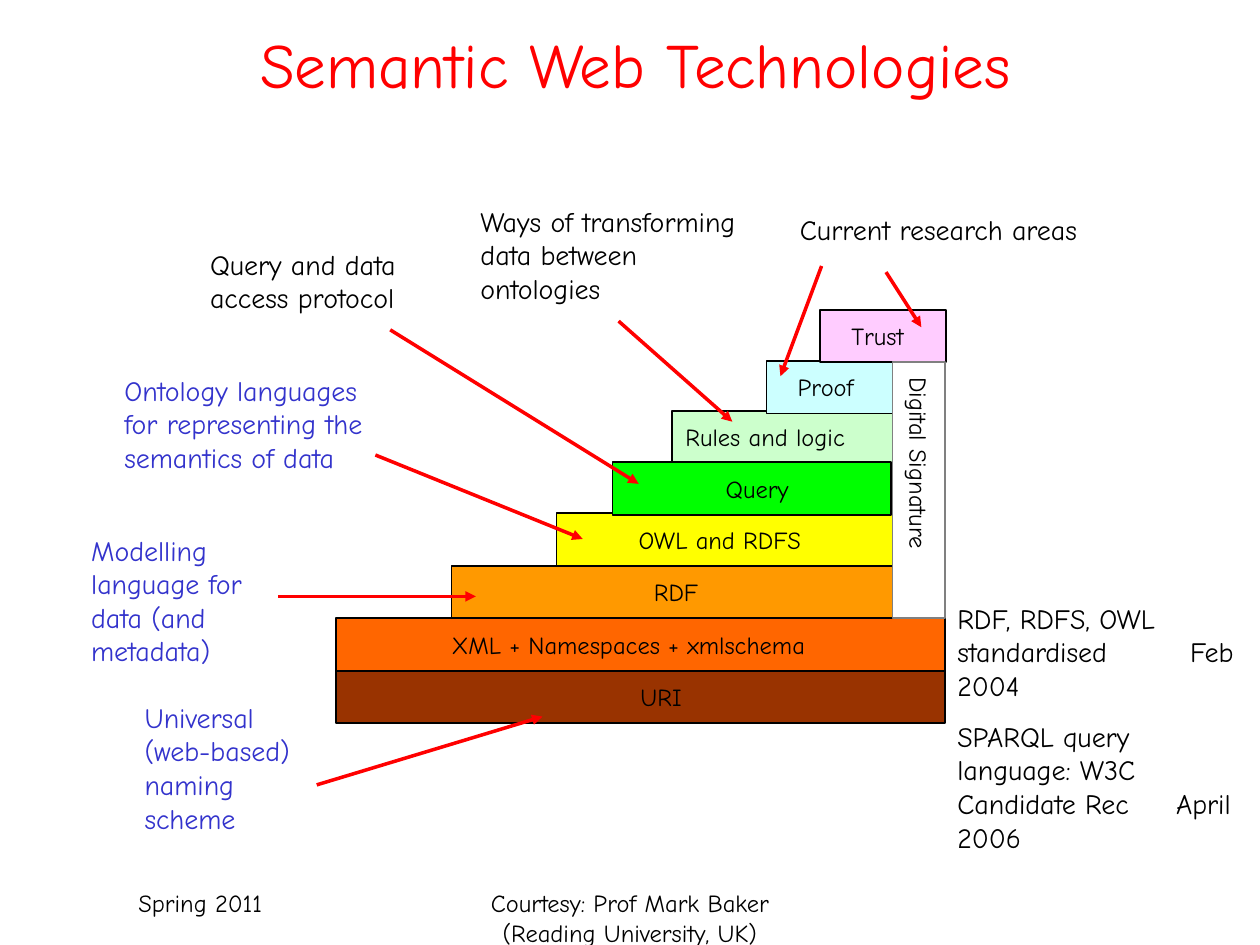
from lxml.etree import SubElement
from pptx import Presentation
from pptx.dml.color import RGBColor
from pptx.enum.shapes import MSO_CONNECTOR, MSO_SHAPE
from pptx.enum.text import MSO_ANCHOR, MSO_AUTO_SIZE, PP_ALIGN
from pptx.oxml.ns import qn
from pptx.util import Pt

FONT = "Comic Neue"
BLACK = RGBColor(0x00, 0x00, 0x00)
GREY = RGBColor(0x80, 0x80, 0x80)
RED = RGBColor(0xFF, 0x00, 0x00)
BLUE = RGBColor(0x33, 0x33, 0xCC)
BROWN = RGBColor(0x99, 0x33, 0x00)
DARK_ORANGE = RGBColor(0xFF, 0x66, 0x00)
ORANGE = RGBColor(0xFF, 0x99, 0x00)
YELLOW = RGBColor(0xFF, 0xFF, 0x00)
GREEN = RGBColor(0x00, 0xFF, 0x00)
PALE_GREEN = RGBColor(0xCC, 0xFF, 0xCC)
PALE_BLUE = RGBColor(0xCC, 0xFF, 0xFF)
PINK = RGBColor(0xFF, 0xCC, 0xFF)

# Content: all lengths in points
TITLE = "Semantic Web Technologies"

# Layers: label, colour, left, top, width, label left, label width
LAYERS = [
    ("URI", BROWN, 192, 383.3, 348, 366, 24.5),
    ("XML + Namespaces + xmlschema", DARK_ORANGE, 192, 353.3, 348, 258, 242),
    ("RDF", ORANGE, 258, 323.3, 252, 373.7, 33),
    ("OWL and RDFS", YELLOW, 318, 293.3, 192, 365, 106),
    ("Rules and logic", PALE_GREEN, 384, 234.8, 126, 391.7, 107),
    ("Proof", PALE_BLUE, 438, 206.3, 72, 455.8, 36.7),
    ("Trust", PINK, 468.5, 177, 72, 486.5, 36),
    ("Query", GREEN, 350, 264.2, 159, 414.7, 42.5),
]
LAYER_HEIGHT = 30
LABEL_OFFSET = 6.5
LABEL_HEIGHT = 16.6

# Notes: text, colour, box, arrows as (from x, from y, to x, to y)
NOTES = [
    ("Universal (web-based) naming scheme", BLUE, (75.5, 393, 114.5, 91.5),
     [(181, 448.5, 310, 409.5)]),
    ("Modelling language for data (and metadata)", BLUE, (45, 297.5, 114.5, 110),
     [(159, 340.8, 272, 340.8)]),
    ("Ontology languages for representing the semantics of data", BLUE,
     (64, 206, 164, 91.5), [(214.5, 260, 333, 308)]),
    ("Current research areas", BLACK, (450, 114.5, 209.5, 34),
     [(469.5, 152, 446, 215), (506.3, 155.5, 526.5, 187)]),
    ("Query and data access protocol", BLACK, (113, 134, 164, 52.5),
     [(223, 188.5, 365, 276.5)]),
    ("Ways of transforming data between ontologies", BLACK, (267.5, 109.5, 164, 91.5),
     [(353.5, 183.5, 418.5, 241)]),
]

# Standards: text with a tab before the date, tab position
STANDARDS = [
    ("RDF, RDFS, OWL standardised\tFeb 2004", 133),
    ("SPARQL query language: W3C Candidate Rec\tApril 2006", 125),
]
STANDARDS_BOX = (540, 336.3, 180, 158.4)

FOOTERS = [
    ("Spring 2011", (72, 504, 150, 36), PP_ALIGN.LEFT),
    ("Courtesy: Prof Mark Baker (Reading University, UK)",
     (246, 504, 228, 36), PP_ALIGN.CENTER),
]


def points(values):
    return [Pt(value) for value in values]


def format_paragraph(paragraph, size, color):
    paragraph.font.name = FONT
    paragraph.font.size = Pt(size)
    paragraph.font.color.rgb = color


def add_text(slide, text, box, size, color=BLACK, margins=(7.2, 7.2), wrap=True, grow=True):
    frame = slide.shapes.add_textbox(*points(box)).text_frame
    frame.margin_left = frame.margin_right = Pt(margins[0])
    frame.margin_top = frame.margin_bottom = Pt(margins[1])
    frame.word_wrap = wrap
    frame.auto_size = MSO_AUTO_SIZE.SHAPE_TO_FIT_TEXT if grow else MSO_AUTO_SIZE.NONE
    frame.text = text
    for paragraph in frame.paragraphs:
        format_paragraph(paragraph, size, color)
    return frame


def add_label(slide, text, box):
    return add_text(slide, text, box, 14, margins=(0, 0), wrap=False)


def add_block(slide, box, fill, line):
    shape = slide.shapes.add_shape(MSO_SHAPE.RECTANGLE, *points(box))
    shape.shadow.inherit = False
    if fill is None:
        shape.fill.background()
    else:
        shape.fill.solid()
        shape.fill.fore_color.rgb = fill
    shape.line.color.rgb = line
    shape.line.width = Pt(1)


def add_arrow(slide, ends):
    arrow = slide.shapes.add_connector(MSO_CONNECTOR.STRAIGHT, *points(ends))
    arrow.line.color.rgb = RED
    arrow.line.width = Pt(2)
    SubElement(arrow.line._get_or_add_ln(), qn("a:tailEnd"), type="triangle")
    SubElement(arrow._element.spPr, qn("a:effectLst"))


def add_tab_stop(paragraph, position):
    tabs = SubElement(paragraph._p.get_or_add_pPr(), qn("a:tabLst"))
    SubElement(tabs, qn("a:tab"), pos=str(Pt(position)), algn="l")


def main():
    presentation = Presentation()
    presentation.slide_width, presentation.slide_height = Pt(720), Pt(540)
    slide = presentation.slides.add_slide(presentation.slide_layouts[5])

    # Title
    title = slide.shapes.title
    title.left, title.top, title.width, title.height = points((36, 6, 654, 60))
    frame = title.text_frame
    frame.text = TITLE
    frame.auto_size = MSO_AUTO_SIZE.NONE
    frame.vertical_anchor = MSO_ANCHOR.MIDDLE
    frame.paragraphs[0].alignment = PP_ALIGN.CENTER
    format_paragraph(frame.paragraphs[0], 36, RED)

    # Footers
    for text, box, alignment in FOOTERS:
        frame = add_text(slide, text, box, 14, margins=(7.2, 3.6), grow=False)
        frame.paragraphs[0].alignment = alignment

    # Technology layers
    for label, color, left, top, width, label_left, label_width in LAYERS:
        add_block(slide, (left, top, width, LAYER_HEIGHT), color, BLACK)
        add_label(slide, label, (label_left, top + LABEL_OFFSET, label_width, LABEL_HEIGHT))

    # Digital signature column
    add_block(slide, (510, 207, 30, 146.3), None, GREY)
    frame = add_label(slide, "Digital Signature", (517, 215.5, LABEL_HEIGHT, 118))
    frame._txBody.bodyPr.set("vert", "eaVert")

    # Standards with their dates
    text = "\n".join(line for line, _ in STANDARDS)
    frame = add_text(slide, text, STANDARDS_BOX, 16)
    frame.paragraphs[1].space_before = Pt(10)
    for paragraph, (_, position) in zip(frame.paragraphs, STANDARDS):
        properties = paragraph._p.get_or_add_pPr()
        run_defaults = properties.find(qn("a:defRPr"))
        properties.remove(run_defaults)
        add_tab_stop(paragraph, position)
        properties.append(run_defaults)

    # Notes and their arrows
    for text, color, box, arrows in NOTES:
        add_text(slide, text, box, 16, color)
        for ends in arrows:
            add_arrow(slide, ends)

    presentation.save("out.pptx")


if __name__ == "__main__":
    main()
